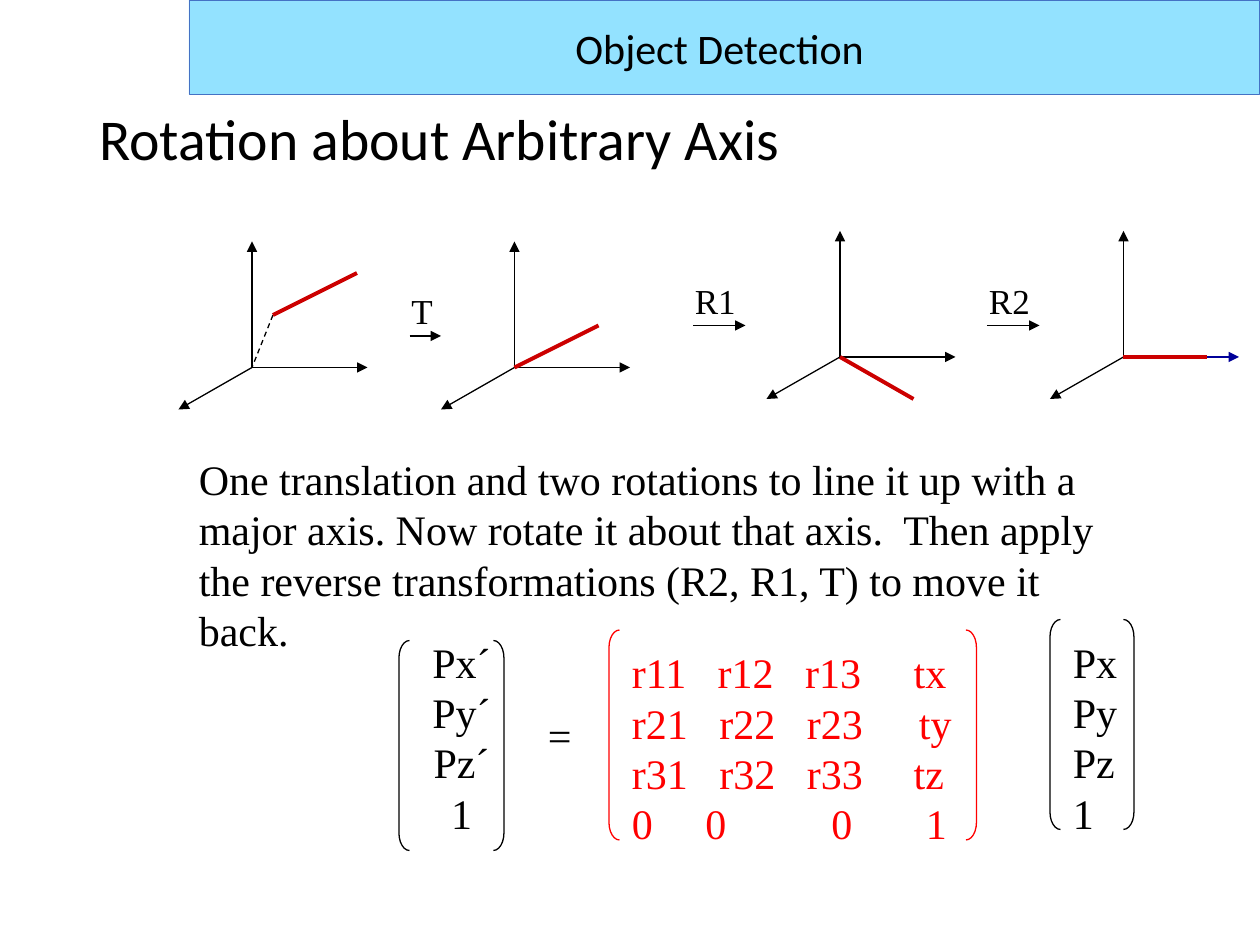
from lxml import etree
from pptx import Presentation
from pptx.dml.color import RGBColor
from pptx.enum.dml import MSO_LINE
from pptx.enum.shapes import MSO_CONNECTOR, MSO_SHAPE
from pptx.enum.text import MSO_ANCHOR, MSO_AUTO_SIZE, PP_ALIGN
from pptx.oxml.ns import qn
from pptx.util import Pt

BLACK = RGBColor(0x00, 0x00, 0x00)
RED = RGBColor(0xFF, 0x00, 0x00)
DARK_RED = RGBColor(0xCC, 0x00, 0x00)
NAVY = RGBColor(0x00, 0x00, 0x99)
SKY = RGBColor(0x93, 0xE2, 0xFF)
BLUE = RGBColor(0x44, 0x72, 0xC4)
SERIF, SANS = "Times New Roman", "Calibri"

prs = Presentation()
prs.slide_width, prs.slide_height = Pt(720), Pt(540)
s = prs.slides.add_slide(prs.slide_layouts[5])


def add_line(start, end, color=BLACK, width=0.75, arrow=False):
    cn = s.shapes.add_connector(MSO_CONNECTOR.STRAIGHT, *map(Pt, start + end))
    cn.line.color.rgb = color
    cn.line.width = Pt(width)
    if arrow:
        etree.SubElement(cn.line._get_or_add_ln(), qn("a:tailEnd"), type="triangle")
    etree.SubElement(cn._element.spPr, qn("a:effectLst"))
    return cn


def add_text(box, lines, size=24, color=BLACK, align=PP_ALIGN.LEFT, tabs=None):
    tf = s.shapes.add_textbox(*map(Pt, box)).text_frame
    tf.word_wrap = bool(tabs)
    tf.auto_size = MSO_AUTO_SIZE.SHAPE_TO_FIT_TEXT
    for i, line in enumerate(lines):
        p = tf.paragraphs[0] if i == 0 else tf.add_paragraph()
        p.text = line
        p.alignment = align
        if tabs:
            tab_list = etree.SubElement(p._p.get_or_add_pPr(), qn("a:tabLst"))
            for pos in tabs[i]:
                etree.SubElement(tab_list, qn("a:tab"), pos=str(Pt(pos)), algn="l")
        for name, value in {"name": SERIF, "size": Pt(size)}.items():
            setattr(p.font, name, value)
        p.font.color.rgb = color


# Title
title = s.shapes.title
title.left, title.top, title.width, title.height = Pt(49.5), Pt(28.75), Pt(621), Pt(104.4)
tf = title.text_frame
tf.text = "Rotation about Arbitrary Axis"
tf.auto_size = MSO_AUTO_SIZE.NONE
tf.vertical_anchor = MSO_ANCHOR.MIDDLE
p = tf.paragraphs[0]
p.alignment = PP_ALIGN.LEFT
p.line_spacing = 0.9
for name, value in {"name": SANS, "size": Pt(33)}.items():
    setattr(p.font, name, value)
p.font.color.rgb = BLACK

# Coordinate systems: origin, colour of the horizontal axis, ends of the rotated segment
systems = [
    ((144, 210), BLACK, (12, -30), (60, -54)),
    ((294, 210), BLACK, (0, 0), (48, -24)),
    ((480, 204), BLACK, (0, 0), (42, 24)),
    ((642, 204), NAVY, (0, 0), (48, 0)),
]
for (x, y), color, (x1, y1), (x2, y2) in systems:
    for dx, dy, axis_color in [(0, -72, BLACK), (66, 0, color), (-42, 24, BLACK)]:
        add_line((x, y), (x + dx, y + dy), axis_color, arrow=True)
    if (x1, y1) != (0, 0):
        offset = add_line((x + x1, y + y1), (x, y))
        offset.line.dash_style = MSO_LINE.DASH
    add_line((x + x1, y + y1), (x + x2, y + y2), DARK_RED, 2.25)

# Steps between the systems: label, left, top, width, arrow ends and height
for label, left, top, width, x1, x2, y in [
    ("T", 228, 162, 26.6, 234, 252, 192),
    ("R1", 390, 156, 38, 396, 426, 186),
    ("R2", 558, 156, 38, 564, 594, 186),
]:
    add_text((left, top, width, 31), [label], size=20)
    add_line((x1, y), (x2, y), arrow=True)

# Explanation
add_text((106.5, 255.6, 552, 93.6), [
    "One translation and two rotations to line it up with a",
    "major axis. Now rotate it about that axis.  Then apply",
    "the reverse transformations (R2, R1, T) to move it back.",
])

# Matrix equation
add_text((240, 360, 47.5, 122.4), ["Px´", "Py´", "Pz´", "1"], align=PP_ALIGN.CENTER)
add_text((306, 402, 28, 36), ["="])
add_text(
    (354, 366, 204, 122.4),
    ["r11\tr12\tr13\ttx", "r21\tr22\tr23\tty", "r31\tr32\tr33\ttz", "0\t0\t0\t1"],
    color=RED,
    tabs=[(49, 99, 161), (50, 100, 164), (50, 100, 161), (42, 114, 168)],
)
add_text((606, 360, 39.6, 122.4), ["Px", "Py", "Pz", "1"])

# Brackets: left edge, right bracket's left edge, top, colour
for left, right, top, color in [
    (228, 282, 366, BLACK),
    (348, 552, 360, RED),
    (600, 642, 354, BLACK),
]:
    for x, kind in [(left, MSO_SHAPE.LEFT_BRACKET), (right, MSO_SHAPE.RIGHT_BRACKET)]:
        sp = s.shapes.add_shape(kind, Pt(x), Pt(top), Pt(6), Pt(120))
        sp.adjustments[0] = 1.67
        sp.shadow.inherit = False
        sp.fill.background()
        sp.line.color.rgb = color
        sp.line.width = Pt(0.75)

# Banner
sp = s.shapes.add_shape(MSO_SHAPE.RECTANGLE, Pt(108), Pt(0), Pt(612), Pt(54))
sp.shadow.inherit = False
sp.fill.solid()
sp.fill.fore_color.rgb = SKY
sp.line.color.rgb = BLUE
sp.line.width = Pt(0.5)
tf = sp.text_frame
tf.vertical_anchor = MSO_ANCHOR.MIDDLE
p = tf.paragraphs[0]
p.text = "Object Detection "
p.alignment = PP_ALIGN.CENTER
for name, value in {"name": SANS, "size": Pt(24)}.items():
    setattr(p.font, name, value)
p.font.color.rgb = BLACK

prs.save("out.pptx")
